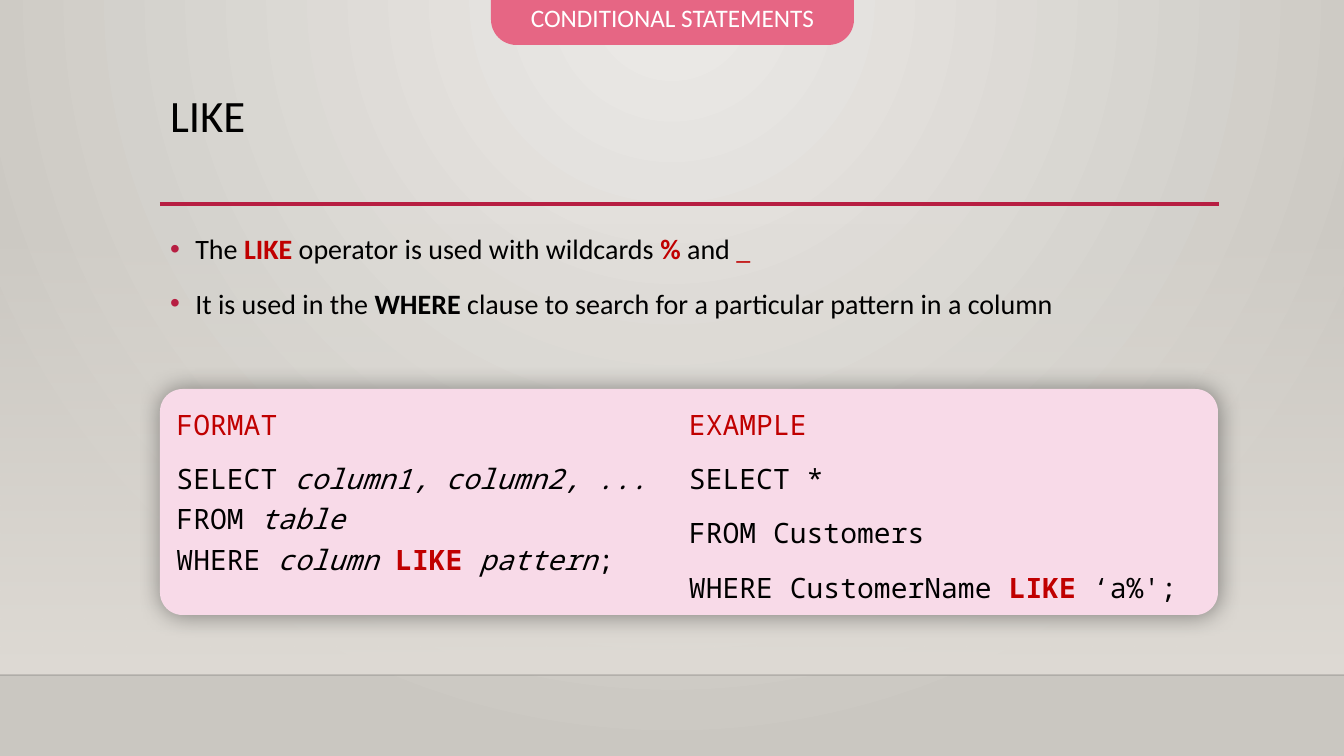
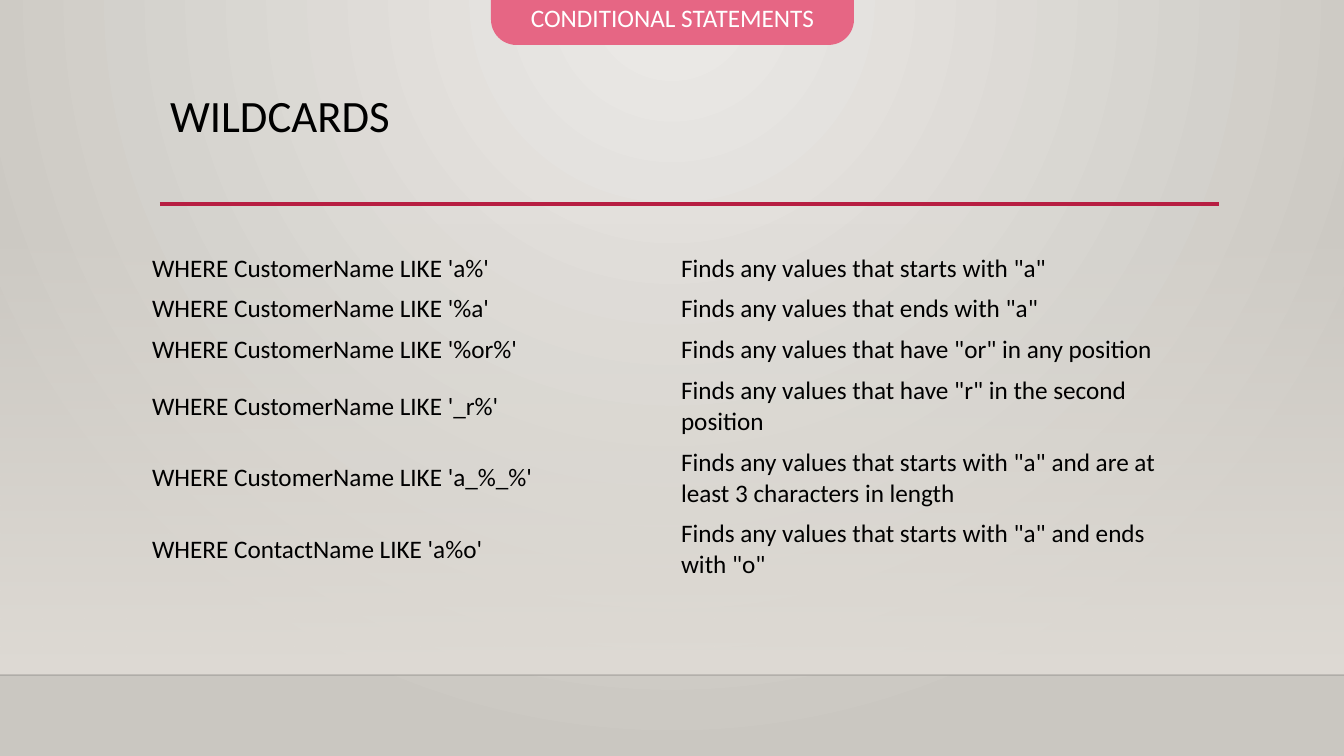
import dataclasses

import pptx
import pptx.dml.color
import pptx.enum.shapes
import pptx.enum.text
import pptx.oxml
import pptx.oxml.ns
import pptx.util

# ---- Content: a run is (text, style), where style is a key of STYLES ----
SECTION = "CONDITIONAL STATEMENTS"

LIKE_TITLE = "LIKE"
LIKE_POINTS = [
    [("The ", "plain"), ("LIKE ", "keyword"),
     ("operator is used with wildcards ", "plain"), ("%", "keyword"),
     (" and ", "plain"), ("_", "accent")],
    [("It is used in the ", "plain"), ("WHERE ", "bold"),
     ("clause to search for a particular pattern in a column", "plain")],
]
LIKE_CODE = [
    [("FORMAT ", "accent")],
    [("SELECT ", "plain"), ("column1, column2, ...\n", "italic"),
     ("FROM ", "plain"), ("table\n", "italic"),
     ("WHERE ", "plain"), ("column ", "italic"), ("LIKE ", "keyword"),
     ("pattern", "italic"), ("; ", "plain")],
    [("EXAMPLE", "accent")],
    [("SELECT * ", "plain")],
    [("FROM Customers", "plain")],
    [("WHERE CustomerName ", "plain"), ("LIKE", "keyword"),
     (" \u2018a%';", "plain")],
]

WILDCARDS_TITLE = "WILDCARDS"
WILDCARDS = [
    ("WHERE CustomerName LIKE 'a%'", 'Finds any values that starts with "a"'),
    ("WHERE CustomerName LIKE '%a'", 'Finds any values that ends with "a"'),
    ("WHERE CustomerName LIKE '%or%'",
     'Finds any values that have "or" in any position'),
    ("WHERE CustomerName LIKE '_r%'",
     'Finds any values that have "r" in the second position'),
    ("WHERE CustomerName LIKE 'a_%_%'",
     'Finds any values that starts with "a" and are at least 3 characters in length'),
    ("WHERE ContactName LIKE 'a%o'",
     'Finds any values that starts with "a" and ends with "o"'),
]


# ---- Theme ----
@dataclasses.dataclass(frozen=True)
class Theme:
    font: str = "Calibri"
    code_font: str = "Noto Sans Mono"
    title_size: int = 32
    text_size: int = 20
    label_size: int = 18
    ink: str = "000000"
    white: str = "FFFFFF"
    accent: str = "C00000"
    rule: str = "B71E42"
    tab: str = "E66684"
    card: str = "F8DAE8"
    glow: str = "ECEAE7"
    edge: str = "CAC7C1"
    floor: str = "DFDBD5"
    floor_line: str = "000001"


T = Theme()
# style: (colour, bold, italic)
STYLES = {
    "plain": (T.ink, False, False),
    "bold": (T.ink, True, False),
    "italic": (T.ink, False, True),
    "accent": (T.accent, False, False),
    "keyword": (T.accent, True, False),
    "tab": (T.white, False, False),
}

# ---- Layout, in pixels ----
EMU_PER_PX = 914400 / 100.8
WIDTH, HEIGHT = 1344, 756
LEFT, CONTENT_W = 160, 1058
FLOOR_TOP, FLOOR_Y = 223, 675
RULE_Y, RULE_RIGHT = 204, 1219
TITLE_BOX = (LEFT, 89, CONTENT_W, 116)
TAB_BOX = (491, -32, 363, 77)
POINTS_BOX = (LEFT, 220, 1075, 102)
CARD_BOX = (LEFT, 389, CONTENT_W, 226)
TABLE_LEFT, TABLE_TOP = 142, 248
ONE_LINE, TWO_LINES, LONG_TEXT = 40, 71, 50

MSO = pptx.enum.shapes.MSO_SHAPE
ANCHOR = pptx.enum.text.MSO_ANCHOR
FIT = pptx.enum.text.MSO_AUTO_SIZE
ALIGN = pptx.enum.text.PP_ALIGN
Pt = pptx.util.Pt
qn = pptx.oxml.ns.qn
PLAIN_TABLE = "{2D5ABB26-0587-4C30-8999-92F81FD0307C}"


# ---- Helpers ----
def px(n):
    return pptx.util.Emu(round(n * EMU_PER_PX))


def rgb(value):
    return pptx.dml.color.RGBColor.from_string(value)


def xml(text):
    return pptx.oxml.parse_xml(
        text.replace(" ", f" {pptx.oxml.ns.nsdecls('a')} ", 1))


def place(sp, box):
    sp.left, sp.top, sp.width, sp.height = map(px, box)


def write(p, runs, size, font=T.font, line=None, before=None):
    p.line_spacing = line
    p.space_before = before
    for text, style in runs:
        colour, bold, italic = STYLES[style]
        r = p.add_run()
        r.text = text.rstrip("\n")
        r.font.name, r.font.size = font, Pt(size)
        r.font.bold, r.font.italic = bold, italic
        r.font.color.rgb = rgb(colour)
        if text.endswith("\n"):
            p.add_line_break()


def write_all(tf, paragraphs, font=T.font):
    for i, runs in enumerate(paragraphs):
        p = tf.add_paragraph() if i else tf.paragraphs[0]
        write(p, runs, T.text_size, font, 1.2, Pt(10))


def set_gradient(holder, stops, shade):
    """Replace the empty fill of holder; a stop is (colour, opacity)."""
    gs = "".join(
        f'<a:gs pos="{i * 100000}"><a:srgbClr val="{colour}">'
        f'<a:alpha val="{opacity * 1000}"/></a:srgbClr></a:gs>'
        for i, (colour, opacity) in enumerate(stops))
    holder.replace(holder.find(qn("a:noFill")), xml(
        f'<a:gradFill rotWithShape="1"><a:gsLst>{gs}</a:gsLst>{shade}</a:gradFill>'))


def add_box(slide, kind, box, fill=None):
    sp = slide.shapes.add_shape(kind, *map(px, box))
    sp.shadow.inherit = False
    sp.line.fill.background()
    if fill:
        sp.fill.solid()
        sp.fill.fore_color.rgb = rgb(fill)
    else:
        sp.fill.background()
    return sp


def add_line(slide, x1, x2, y, colour, width):
    line = slide.shapes.add_connector(
        pptx.enum.shapes.MSO_CONNECTOR.STRAIGHT, px(x1), px(y), px(x2), px(y))
    line.line.color.rgb = rgb(colour)
    line.line.width = Pt(width)
    line.element.spPr.append(xml("<a:effectLst />"))
    return line


# ---- Shared parts ----
def dress_master(master, slide):
    """Draw the backdrop on slide, then move it to the master."""
    master.background.fill.background()
    set_gradient(master.element.find(".//" + qn("p:bgPr")),
                 [(T.glow, 100), (T.edge, 100)],
                 '<a:path path="circle"><a:fillToRect l="43000" t="0" '
                 'r="43000" b="100000"/></a:path>')
    floor = add_box(slide, MSO.RECTANGLE,
                    (0, FLOOR_TOP, WIDTH, FLOOR_Y - FLOOR_TOP))
    set_gradient(floor.element.spPr, [(T.floor, 0), (T.floor, 100)],
                 '<a:lin ang="5400000" scaled="0"/>')
    floor_line = add_line(slide, 0, WIDTH, FLOOR_Y, T.floor_line, 1)
    colour = floor_line.element.spPr.find(".//" + qn("a:srgbClr"))
    colour.append(xml('<a:alpha val="20000"/>'))
    rule = add_line(slide, LEFT, RULE_RIGHT, RULE_Y, T.rule, 2.5)
    for i, part in enumerate((floor, floor_line, rule)):
        part.element.find(".//" + qn("p:cNvPr")).set("id", str(100 + i))
        master.element.cSld.spTree.append(part.element)


def add_header(slide, title):
    sp = slide.shapes.title
    place(sp, TITLE_BOX)
    tf = sp.text_frame
    tf.vertical_anchor = ANCHOR.TOP
    tf.paragraphs[0].alignment = ALIGN.LEFT
    write(tf.paragraphs[0], [(title, "plain")], T.title_size, line=0.9)

    tab = add_box(slide, MSO.ROUNDED_RECTANGLE, TAB_BOX, T.tab)
    tab.adjustments[0] = 0.33
    tf = tab.text_frame
    tf.word_wrap = False
    tf.vertical_anchor = ANCHOR.BOTTOM
    tf.paragraphs[0].alignment = ALIGN.CENTER
    write(tf.paragraphs[0], [(SECTION, "tab")], T.label_size)


# ---- Slide parts ----
def add_points(slide):
    sp = slide.placeholders[1]
    place(sp, POINTS_BOX)
    tf = sp.text_frame
    tf.auto_size = FIT.SHAPE_TO_FIT_TEXT
    write_all(tf, LIKE_POINTS)
    for p in tf.paragraphs:
        pPr = p._p.get_or_add_pPr()
        pPr.set("marL", "228600")
        pPr.set("indent", "-228600")
        for bullet in (f'<a:buClr ><a:srgbClr val="{T.rule}"/></a:buClr>',
                       '<a:buFont typeface="Arial"/>', '<a:buChar char="\u2022"/>'):
            pPr.append(xml(bullet))


def add_code_card(slide):
    card = add_box(slide, MSO.ROUNDED_RECTANGLE, CARD_BOX, T.card)
    card.adjustments[0] = 0.1
    card.element.spPr.find(qn("a:effectLst")).append(xml(
        f'<a:outerShdw blurRad="{Pt(16)}" dist="0" dir="0" algn="ctr" rotWithShape="0">'
        f'<a:srgbClr val="{T.ink}"><a:alpha val="40000"/></a:srgbClr></a:outerShdw>'))
    tf = card.text_frame
    tf.word_wrap = True
    tf.auto_size = FIT.SHAPE_TO_FIT_TEXT
    tf.vertical_anchor = ANCHOR.TOP
    card.element.txBody.bodyPr.set("numCol", "2")
    write_all(tf, LIKE_CODE, T.code_font)
    for p in tf.paragraphs:
        p.alignment = ALIGN.LEFT


def add_wildcard_table(slide):
    heights = [TWO_LINES if len(meaning) > LONG_TEXT else ONE_LINE
               for _, meaning in WILDCARDS]
    table = slide.shapes.add_table(
        len(WILDCARDS), 2, px(TABLE_LEFT), px(TABLE_TOP),
        px(CONTENT_W), px(sum(heights))).table
    table.first_row = table.horz_banding = False
    table._tbl.tblPr.find(qn("a:tableStyleId")).text = PLAIN_TABLE
    for row, height, texts in zip(table.rows, heights, WILDCARDS):
        row.height = px(height)
        for cell, text in zip(row.cells, texts):
            cell.fill.background()
            cell.vertical_anchor = ANCHOR.MIDDLE
            write(cell.text_frame.paragraphs[0], [(text, "plain")], T.label_size)


# ---- Build ----
prs = pptx.Presentation()
prs.slide_width, prs.slide_height = px(WIDTH), px(HEIGHT)
TITLE_AND_BODY, TITLE_ONLY = prs.slide_layouts[1], prs.slide_layouts[5]

like = prs.slides.add_slide(TITLE_AND_BODY)
dress_master(prs.slide_master, like)
add_header(like, LIKE_TITLE)
add_code_card(like)
add_points(like)

wildcards = prs.slides.add_slide(TITLE_ONLY)
add_header(wildcards, WILDCARDS_TITLE)
add_wildcard_table(wildcards)

prs.save("out.pptx")
